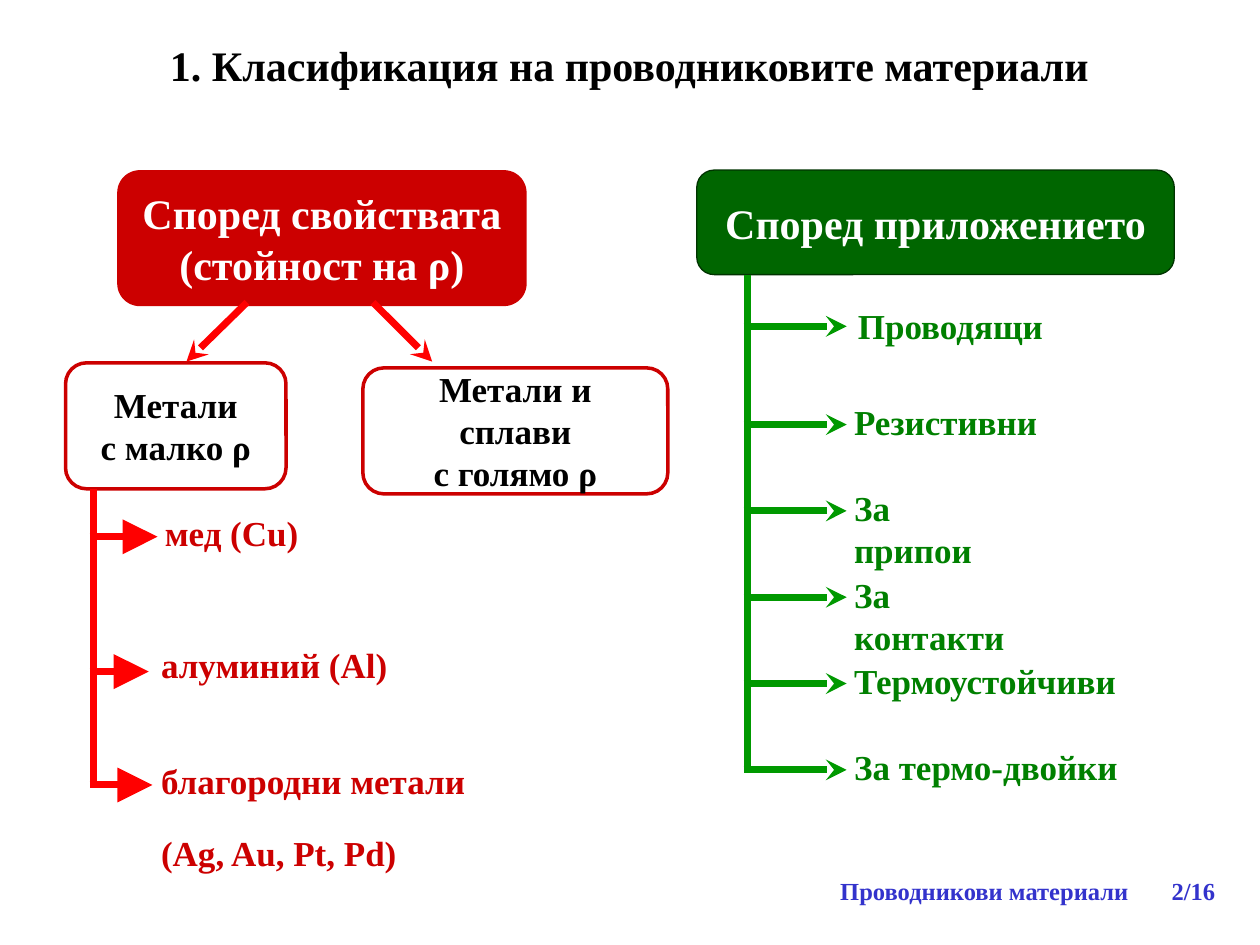
from lxml.etree import SubElement
from pptx import Presentation
from pptx.dml.color import RGBColor
from pptx.enum.shapes import MSO_CONNECTOR, MSO_SHAPE
from pptx.enum.text import MSO_ANCHOR, MSO_AUTO_SIZE, PP_ALIGN
from pptx.oxml.ns import qn
from pptx.util import Inches, Pt

COLS, ROWS = 100, 75
WIDE, HIGH = Inches(10), Inches(7.5)
RED, GREEN = "CC0000", "008000"


def col(n):
    return round(WIDE * n / COLS)


def row(n):
    return round(HIGH * n / ROWS)


def place(box):
    x, y, w, h = box
    return col(x), row(y), col(w), row(h)


def tint(code):
    return RGBColor.from_string(code)


def write(frame, text, size, ink, align=PP_ALIGN.LEFT, anchor=MSO_ANCHOR.TOP):
    frame.text = text
    frame.word_wrap = True
    frame.auto_size = MSO_AUTO_SIZE.NONE
    frame.vertical_anchor = anchor
    for para in frame.paragraphs:
        para.alignment = align
        for run in para.runs:
            font = run.font
            font.name, font.size, font.bold = "Times New Roman", Pt(size), True
            font.color.rgb = tint(ink)


def label(slide, box, text, size, ink):
    frame = slide.shapes.add_textbox(*place(box)).text_frame
    write(frame, text, size, ink)
    return frame


def card(slide, box, text, size, ink, fill=None, edge=None, width=2):
    shape = slide.shapes.add_shape(MSO_SHAPE.ROUNDED_RECTANGLE, *place(box))
    shape.shadow.inherit = False
    if fill:
        shape.fill.solid()
        shape.fill.fore_color.rgb = tint(fill)
    else:
        shape.fill.background()
    if edge:
        shape.line.color.rgb = tint(edge)
        shape.line.width = Pt(width)
    else:
        shape.line.fill.background()
    write(shape.text_frame, text, size, ink, PP_ALIGN.CENTER, MSO_ANCHOR.MIDDLE)


def line(slide, start, end, ink, head=None, size="med"):
    link = slide.shapes.add_connector(
        MSO_CONNECTOR.STRAIGHT, col(start[0]), row(start[1]), col(end[0]), row(end[1]))
    link.line.color.rgb = tint(ink)
    link.line.width = Pt(4)
    if head:
        SubElement(link.line._get_or_add_ln(), qn("a:tailEnd"),
                   type=head, w=size, len=size)
    SubElement(link._element.spPr, qn("a:effectLst"))


def tree(slide, box, items, ink, stroke, head, size="med"):
    x, y, w, h = box
    half = 0.28
    line(slide, (x, y), (x, y + h), stroke)
    frames = []
    for text, left, top, wide, tall, tip, drop in items:
        line(slide, (x - half, y + drop), (x + tip, y + drop), stroke, head, size)
        frames.append(label(slide, (x + left, y + top, wide, tall), text, 20, ink))
    return frames


def traits(slide, box):
    x, y, w, h = box
    card(slide, (x + 4.1, y, 32.5, 10.8),
         "Според свойствата\n(стойност на ρ)", 24, "FFFFFF", RED)
    card(slide, (x, y + 15.3, 17.5, 10), "Метали\nс малко ρ", 20, "000000", edge=RED)
    card(slide, (x + 23.6, y + 15.7, 24.2, 10),
         "Метали и сплави\nс голямо ρ", 20, "000000", edge=RED)
    for start, end in ((14.4, 9.6), (24.4, 29.1)):
        line(slide, (x + start, y + 10.5), (x + end, y + 15.2), "FF0000", "stealth")
    items = [
        ("мед (Cu)", 4.7, 1.3, 14.7, 4.3, 5.1, 3.8),
        ("алуминий (Al)", 4.4, 11.8, 20, 4.3, 4.4, 14.5),
        ("благородни метали\n(Ag, Au, Pt, Pd)", 4.4, 22, 26.7, 7, 4.7, 23.5),
    ]
    last = tree(slide, (x + 2.2, y + 25.3, w - 2.2, 23.5), items,
                RED, "FF0000", "triangle", "lg")[-1]
    for para in last.paragraphs:
        para.line_spacing = 0.65
    last.paragraphs[1].space_before = Pt(26)


def uses(slide, box):
    x, y, w, h = box
    card(slide, (x, y, w, 8.3), "Според приложението", 24, "FFFFFF",
         "006600", "003300", 0.75)
    names = [("Резистивни", 20), ("За припои", 14.5), ("За контакти", 17),
             ("Термоустойчиви", 24), ("За термо-двойки", 24)]
    items = [("Проводящи", 7.8, 1.9, 20, 4.3, 7.9, 4.1)]
    for i, (name, wide) in enumerate(names):
        top = 9.5 + 6.85 * i
        items.append((name, 7.5, top, wide, 4.3, 7.9, top + 2.4))
    tree(slide, (x + 4, y + 8.3, w - 4, 39.3), items, GREEN, "009900", "stealth")


def heading(slide, box):
    title = slide.shapes.title
    title.left, title.top, title.width, title.height = place(box)
    write(title.text_frame, "1. Класификация на проводниковите материали",
          24, "000000", PP_ALIGN.CENTER)


def footer(slide, box):
    frame = label(slide, box, "Проводникови материали\t2/16", 14, "3333CC")
    stops = SubElement(frame.paragraphs[0]._p.get_or_add_pPr(), qn("a:tabLst"))
    SubElement(stops, qn("a:tab"), pos=str(col(26.3)), algn="l")


def main():
    deck = Presentation()
    deck.slide_width, deck.slide_height = WIDE, HIGH
    slide = deck.slides.add_slide(deck.slide_layouts[5])
    heading(slide, (12.2, 2.6, 75.5, 5))
    traits(slide, (5.2, 13.5, 47.8, 54.3))
    uses(slide, (55.3, 13.5, 37.9, 49.5))
    footer(slide, (65.7, 69, 32, 3.3))
    deck.save("out.pptx")


if __name__ == "__main__":
    main()
